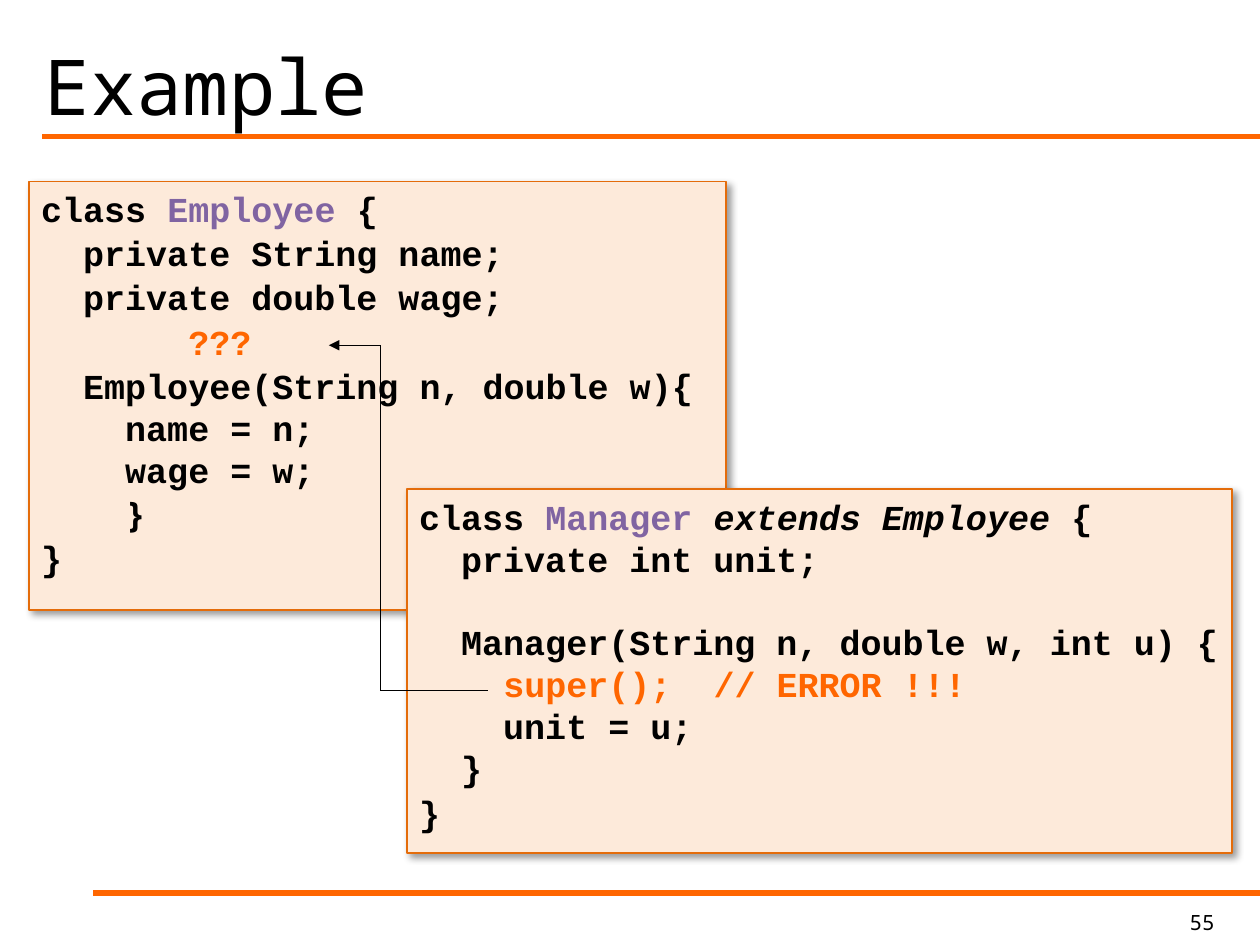
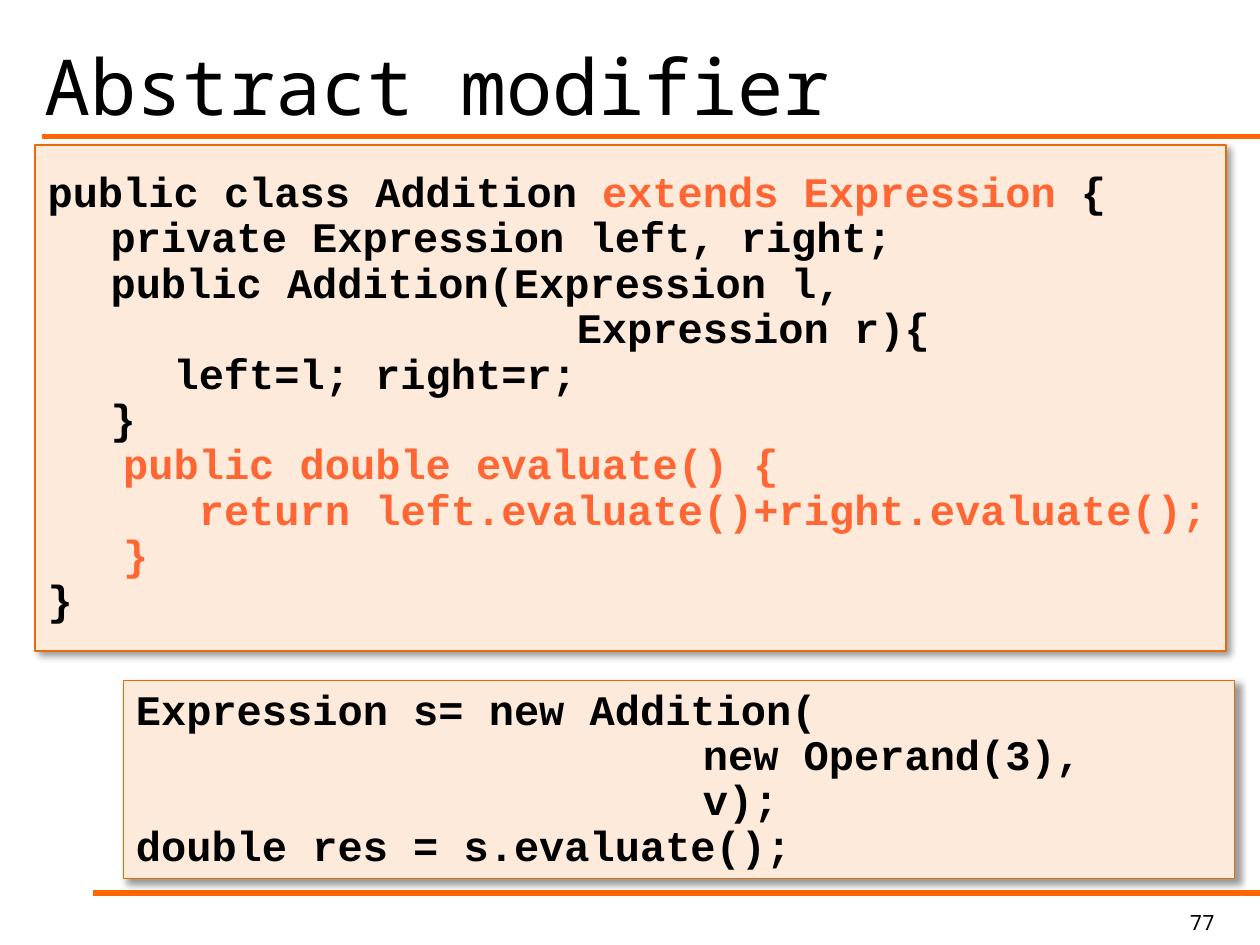
from itertools import pairwise
from typing import NamedTuple

from lxml import etree
from pptx import Presentation
from pptx.dml.color import RGBColor
from pptx.enum.shapes import MSO_CONNECTOR as Link, MSO_SHAPE as Preset
from pptx.enum.text import MSO_ANCHOR as Anchor, MSO_AUTO_SIZE as Fit, PP_ALIGN as Align
from pptx.oxml.ns import qn
from pptx.util import Cm, Pt

BLACK = RGBColor(0x00, 0x00, 0x00)
ORANGE = RGBColor(0xFF, 0x66, 0x00)
CORAL = RGBColor(0xFF, 0x66, 0x33)
PURPLE = RGBColor(0x80, 0x64, 0xA2)
PEACH = RGBColor(0xFD, 0xEA, 0xDA)
BORDER = RGBColor(0xE4, 0x6C, 0x0A)

SANS = "Noto Sans Mono"
CODE = "Courier New"
TAB_STEP = Cm(1.27)
TAB_COUNT = 9
TITLE_ONLY = 5


class Box(NamedTuple):
    left: float
    top: float
    width: float
    height: float

    def lengths(self):
        return [Cm(side) for side in self]


class Span(NamedTuple):
    text: str
    color: RGBColor = BLACK
    font: str = CODE
    bold: bool = True
    italic: bool = False


class Line(NamedTuple):
    """One paragraph of code; a newline inside a span is a soft break."""
    spans: list
    spacing: float = 1.0
    before: float = 0
    after: float = 0


SLIDE = Box(0, 0, 25.4, 19.05)
TITLE = Box(0.64, 0.43, 23.93, 2.54)
NUMBER = Box(20.96, 18.21, 3.78, 0.84)


def add_span(para, span, size):
    for index, piece in enumerate(span.text.split("\n")):
        if index:
            para.add_line_break()
        run = para.add_run()
        run.text = piece
        font = run.font
        font.name, font.size = span.font, Pt(size)
        font.bold, font.italic = span.bold, span.italic
        font.color.rgb = span.color


def add_tabs(para):
    stops = etree.SubElement(para._p.get_or_add_pPr(), qn("a:tabLst"))
    for index in range(1, TAB_COUNT + 1):
        etree.SubElement(stops, qn("a:tab"), pos=str(index * TAB_STEP), algn="l")


def add_shadow(shape):
    shape.shadow.inherit = False
    effects = shape._element.spPr.find(qn("a:effectLst"))
    outer = etree.SubElement(effects, qn("a:outerShdw"), blurRad=str(Pt(4)),
                             dist=str(Pt(3)), dir="2700000", rotWithShape="0")
    color = etree.SubElement(outer, qn("a:srgbClr"), val=str(BLACK))
    etree.SubElement(color, qn("a:alpha"), val="40000")


def add_line(page, start, end, color, width):
    line = page.shapes.add_connector(Link.STRAIGHT, *map(Cm, (*start, *end)))
    line.line.color.rgb = color
    line.line.width = Pt(width)
    etree.SubElement(line._element.spPr, qn("a:effectLst"))
    return line


def add_path(page, points):
    """Join the points with thin lines and put an arrowhead on the last."""
    for start, end in pairwise(points):
        line = add_line(page, start, end, BLACK, 0.75)
    etree.SubElement(line.line._get_or_add_ln(), qn("a:tailEnd"), type="triangle")


def add_page(deck, title, number):
    """Add a slide with its title, two orange rules and number."""
    page = deck.slides.add_slide(deck.slide_layouts[TITLE_ONLY])
    for left, top in ((0.84, 2.76), (1.88, 18.0)):
        add_line(page, (SLIDE.width, top), (left, top), ORANGE, 3)

    heading = page.shapes.title
    heading.left, heading.top, heading.width, heading.height = TITLE.lengths()
    heading.text_frame.vertical_anchor = Anchor.MIDDLE
    heading.text_frame.auto_size = Fit.NONE
    label = page.shapes.add_textbox(*NUMBER.lengths())
    label.text_frame.word_wrap = True
    for shape, text, size, align in ((heading, title, 44, Align.LEFT),
                                     (label, number, 12, Align.RIGHT)):
        para = shape.text_frame.paragraphs[0]
        para.alignment = align
        add_span(para, Span(text, font=SANS, bold=False), size)
    return page


def add_code(page, box, lines, size, anchor):
    panel = page.shapes.add_shape(Preset.RECTANGLE, *box.lengths())
    panel.fill.solid()
    panel.fill.fore_color.rgb = PEACH
    panel.line.color.rgb = BORDER
    panel.line.width = Pt(1)
    add_shadow(panel)
    frame = panel.text_frame
    frame.word_wrap = True
    frame.vertical_anchor = anchor
    for index, line in enumerate(lines):
        para = frame.add_paragraph() if index else frame.paragraphs[0]
        add_tabs(para)
        para.alignment = Align.LEFT
        para.line_spacing = line.spacing
        para.space_before, para.space_after = Pt(line.before), Pt(line.after)
        for span in line.spans:
            add_span(para, span, size)


def build_example(deck):
    page = add_page(deck, "Example", "55")
    gap = 1.2
    employee = [
        [Span("class "), Span("Employee ", PURPLE), Span("{")],
        [Span("  private String name;")],
        [Span("  private double wage;")],
        [Span("       ???", ORANGE)],
        [Span("  Employee(String n, double w){\n    name = n;\n    wage = w;")],
        [Span("    ", font=SANS, bold=False), Span("}", font=SANS)],
        [Span("}")],
    ]
    add_code(page, Box(0.58, 3.66, 14.05, 8.64),
             [Line(spans, after=gap) for spans in employee], 20, Anchor.TOP)

    manager = [
        Line([Span("class "), Span("Manager ", PURPLE),
              Span("extends Employee", italic=True),
              Span(" {\n  private int unit;")], after=gap),
        Line([Span("  Manager(String n, double w, int u) {")], 0.95, 24, gap),
        Line([Span("    "), Span("super();  // ERROR !!!", ORANGE)], 0.95, after=gap),
        Line([Span("    unit = u;")], 0.95, after=gap),
        Line([Span("  }")], 0.95, after=gap),
        Line([Span("}")], after=gap),
    ]
    add_code(page, Box(8.2, 9.86, 16.64, 7.34), manager, 20, Anchor.TOP)
    add_path(page, [(9.83, 13.92), (7.67, 13.92), (7.67, 6.96), (6.63, 6.96)])


def build_abstract_modifier(deck):
    page = add_page(deck, "Abstract modifier", "77")
    addition = [
        [Span("public class Addition "), Span("extends Expression ", CORAL), Span("{")],
        [Span("\tprivate Expression left, right;")],
        [Span("\tpublic Addition(Expression l,")],
        [Span("\t" * 8 + " Expression r){")],
        [Span("\t\tleft=l; right=r;")],
        [Span("\t}")],
        [Span("   public double evaluate() {", CORAL)],
        [Span("      return left.evaluate()+right.evaluate();", CORAL)],
        [Span("   }", CORAL)],
        [Span("}")],
    ]
    usage = [
        [Span("Expression s= new Addition(")],
        [Span("\t" * 9 + "new Operand(3),")],
        [Span("\t" * 9 + "v);")],
        [Span("double res = s.evaluate();")],
    ]
    for box, code in ((Box(0.71, 2.92, 24.0, 10.21), addition),
                      (Box(2.49, 13.72, 22.4, 3.99), usage)):
        add_code(page, box, [Line(spans, 0.9) for spans in code], 24, Anchor.MIDDLE)


def main():
    deck = Presentation()
    deck.slide_width, deck.slide_height = Cm(SLIDE.width), Cm(SLIDE.height)
    build_example(deck)
    build_abstract_modifier(deck)
    deck.save("out.pptx")


if __name__ == "__main__":
    main()
